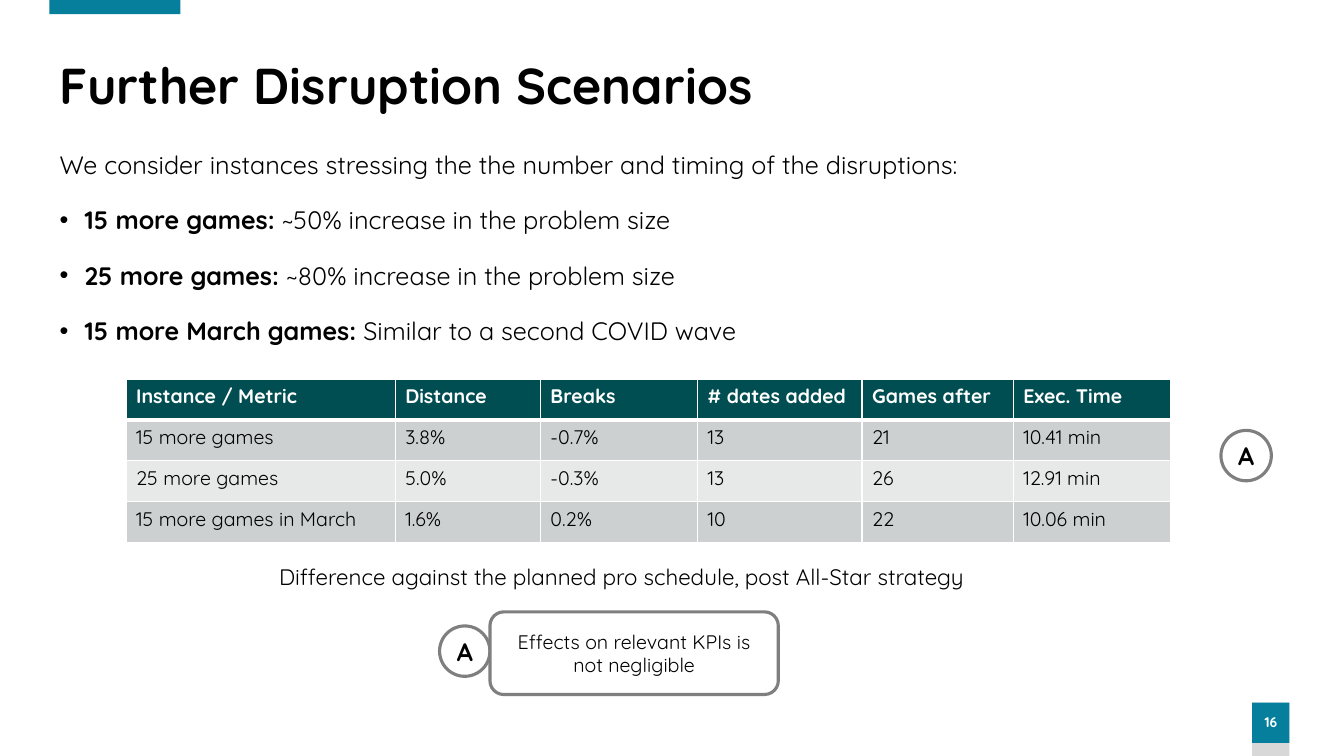
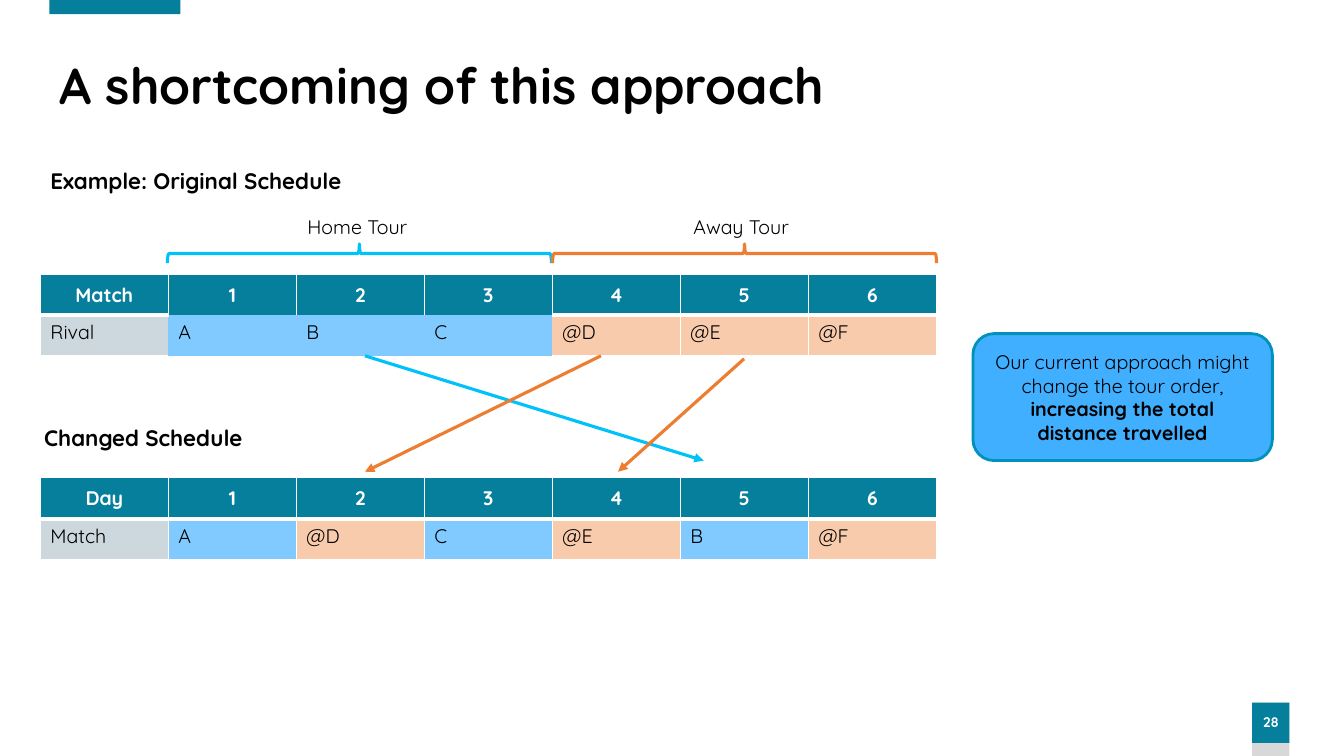
from dataclasses import dataclass
from typing import Callable

from lxml.etree import SubElement
from pptx import Presentation
from pptx.dml.color import RGBColor
from pptx.enum.dml import MSO_LINE
from pptx.enum.shapes import MSO_CONNECTOR, MSO_SHAPE
from pptx.enum.text import MSO_ANCHOR, MSO_AUTO_SIZE, PP_ALIGN
from pptx.oxml import parse_xml
from pptx.oxml.ns import nsdecls, qn
from pptx.util import Inches, Pt

FONT = "Quicksand"
BLACK = RGBColor(0x00, 0x00, 0x00)
WHITE = RGBColor(0xFF, 0xFF, 0xFF)
TEAL = RGBColor(0x06, 0x7F, 0x9C)
DARK_TEAL = RGBColor(0x01, 0x4E, 0x52)
LIGHT_GRAY = RGBColor(0xD8, 0xD8, 0xD8)
GRAY = RGBColor(0x7F, 0x7F, 0x7F)
ROW_ODD = RGBColor(0xCC, 0xD0, 0xD1)
ROW_EVEN = RGBColor(0xE7, 0xE9, 0xE9)
LABEL_FILL = RGBColor(0xCC, 0xD8, 0xDE)
HOME_FILL = RGBColor(0x80, 0xCA, 0xFF)
AWAY_FILL = RGBColor(0xF8, 0xCB, 0xAD)
HOME_LINE = RGBColor(0x00, 0xC2, 0xF8)
AWAY_LINE = RGBColor(0xED, 0x7D, 0x31)
NOTE_FILL = RGBColor(0x40, 0xAF, 0xFF)
NOTE_LINE = RGBColor(0x01, 0x92, 0xBB)

TITLE_ONLY, TITLE_AND_CONTENT = 5, 1
ROW_HEIGHT = 0.406


@dataclass
class Box:
    left: float
    top: float
    width: float
    height: float

    def lengths(self):
        return [Inches(v) for v in (self.left, self.top, self.width, self.height)]


@dataclass
class Grid:
    left: float
    top: float
    widths: list[float]
    rows: list[list[str]]
    header_fill: RGBColor
    body_fill: Callable[[int, int, str], RGBColor]
    centred_header: bool = False
    bare: frozenset = frozenset()  # (row, column) of cells without borders


@dataclass
class Arrow:
    start: tuple[float, float]
    end: tuple[float, float]
    color: RGBColor


@dataclass
class Tour:
    name: str
    label_left: float
    brace_left: float
    color: RGBColor


def write(p, text: str, *, size: float = 14, bold: bool = False,
          color: RGBColor = BLACK, align=None) -> None:
    """Append one formatted run to a paragraph."""
    if align is not None:
        p.alignment = align
    r = p.add_run()
    r.text = text
    r.font.name, r.font.size, r.font.bold = FONT, Pt(size), bold
    r.font.color.rgb = color


def place(sp, box: Box) -> None:
    sp.left, sp.top, sp.width, sp.height = box.lengths()


def add_shape(s, kind, box: Box, fill=None, line=None, line_width: float = 2.25):
    sp = s.shapes.add_shape(kind, *box.lengths())
    sp.shadow.inherit = False
    if fill is None:
        sp.fill.background()
    else:
        sp.fill.solid()
        sp.fill.fore_color.rgb = fill
    if line is None:
        sp.line.fill.background()
    else:
        sp.line.color.rgb = line
        sp.line.width = Pt(line_width)
    sp.text_frame.vertical_anchor = MSO_ANCHOR.MIDDLE
    return sp


def add_label(s, box: Box, text: str, size: float, bold: bool = False) -> None:
    tf = s.shapes.add_textbox(*box.lengths()).text_frame
    tf.word_wrap = False
    write(tf.paragraphs[0], text, size=size, bold=bold)


def add_badge(s, left: float, top: float, letter: str) -> None:
    sp = add_shape(s, MSO_SHAPE.OVAL, Box(left, top, 0.5, 0.5), WHITE, GRAY)
    write(sp.text_frame.paragraphs[0], letter, size=18, bold=True, align=PP_ALIGN.CENTER)


def add_arrow(s, arrow: Arrow) -> None:
    ends = [Inches(v) for v in (*arrow.start, *arrow.end)]
    cn = s.shapes.add_connector(MSO_CONNECTOR.STRAIGHT, *ends)
    cn.line.color.rgb = arrow.color
    cn.line.width = Pt(2.25)
    cn.line.dash_style = MSO_LINE.SOLID
    SubElement(cn.line._get_or_add_ln(), qn("a:tailEnd"), type="triangle")
    SubElement(cn._element.spPr, qn("a:effectLst"))


def set_borders(cell, widths: dict[str, float]) -> None:
    """Give each side a white border; a width of 0 hides it."""
    tc_pr = cell._tc.get_or_add_tcPr()
    for i, (side, width) in enumerate(widths.items()):
        paint = f'<a:solidFill><a:srgbClr val="{WHITE}"/></a:solidFill>' if width else "<a:noFill/>"
        tc_pr.insert(i, parse_xml(
            f'<a:ln{side} {nsdecls("a")} w="{Pt(width)}">{paint}</a:ln{side}>'))


def border_widths(row: int, col: int, bare: frozenset) -> dict[str, float]:
    sides = {"L": (row, col - 1), "R": (row, col + 1), "T": (row - 1, col), "B": (row + 1, col)}
    widths = {}
    for side, neighbour in sides.items():
        if {(row, col), neighbour} & bare:
            widths[side] = 0
        else:
            widths[side] = 3 if {row, neighbour[0]} == {0, 1} else 1
    return widths


def add_grid(s, grid: Grid) -> None:
    box = Box(grid.left, grid.top, sum(grid.widths), ROW_HEIGHT * len(grid.rows))
    table = s.shapes.add_table(len(grid.rows), len(grid.widths), *box.lengths()).table
    for column, width in zip(table.columns, grid.widths):
        column.width = Inches(width)
    for i, texts in enumerate(grid.rows):
        table.rows[i].height = Inches(ROW_HEIGHT)
        header = i == 0
        centred = header and grid.centred_header
        for j, text in enumerate(texts):
            cell = table.cell(i, j)
            cell.fill.solid()
            cell.fill.fore_color.rgb = grid.header_fill if header else grid.body_fill(i, j, text)
            set_borders(cell, border_widths(i, j, grid.bare))
            cell.vertical_anchor = MSO_ANCHOR.MIDDLE if centred else MSO_ANCHOR.TOP
            write(cell.text_frame.paragraphs[0], text, bold=header,
                  color=WHITE if header else BLACK,
                  align=PP_ALIGN.CENTER if centred else PP_ALIGN.LEFT)


def add_slide(prs, layout: int, title: str, number: int):
    """Add a slide with the shared band, page number and title."""
    s = prs.slides.add_slide(prs.slide_layouts[layout])
    add_shape(s, MSO_SHAPE.RECTANGLE, Box(12.42, 6.97, 0.37, 0.53), LIGHT_GRAY)
    tf = add_shape(s, MSO_SHAPE.RECTANGLE, Box(12.42, 6.97, 0.37, 0.4), TEAL).text_frame
    tf.margin_left = tf.margin_right = 0
    tf.paragraphs[0].line_spacing = 0.9
    write(tf.paragraphs[0], str(number), size=10, bold=True, color=WHITE, align=PP_ALIGN.CENTER)
    add_shape(s, MSO_SHAPE.RECTANGLE, Box(0.49, 0, 1.3, 0.14), TEAL)

    place(s.shapes.title, Box(0.49, 0.55, 12.22, 0.65))
    tf = s.shapes.title.text_frame
    tf.auto_size = MSO_AUTO_SIZE.NONE
    tf.vertical_anchor = MSO_ANCHOR.MIDDLE
    tf.paragraphs[0].line_spacing = 0.9
    write(tf.paragraphs[0], title, size=36, bold=True, align=PP_ALIGN.LEFT)
    return s


def set_bullet(p, bulleted: bool) -> None:
    p_pr = p._p.get_or_add_pPr()
    indent = Inches(0.25) if bulleted else 0
    p_pr.set("marL", str(indent))
    p_pr.set("indent", str(-indent))
    if bulleted:
        SubElement(SubElement(p_pr, qn("a:buClr")), qn("a:srgbClr"), val=str(BLACK))
        SubElement(p_pr, qn("a:buFont"), typeface="Arial")
        SubElement(p_pr, qn("a:buChar"), char="•")
    else:
        SubElement(p_pr, qn("a:buNone"))


def build_scenarios(prs) -> None:
    s = add_slide(prs, TITLE_AND_CONTENT, "Further Disruption Scenarios", 16)
    body = s.placeholders[1]
    place(body, Box(0.49, 1.43, 11.88, 5.39))
    tf = body.text_frame
    tf.auto_size = MSO_AUTO_SIZE.NONE
    p = tf.paragraphs[0]
    p.space_before = Pt(0)
    set_bullet(p, False)
    write(p, "We consider instances stressing the the number and timing of the disruptions:", size=18)
    for name, effect in [
        ("15 more games: ", "~50% increase in the problem size"),
        ("25 more games: ", "~80% increase in the problem size"),
        ("15 more March games: ", "Similar to a second COVID wave"),
    ]:
        p = tf.add_paragraph()
        p.space_before = Pt(18)
        set_bullet(p, True)
        write(p, name, size=18, bold=True)
        write(p, effect, size=18)

    add_badge(s, 4.36, 6.21, "A")
    sp = add_shape(s, MSO_SHAPE.ROUNDED_RECTANGLE, Box(4.86, 6.07, 2.86, 0.82), WHITE, GRAY)
    write(sp.text_frame.paragraphs[0], "Effects on relevant KPIs is not negligible",
          align=PP_ALIGN.CENTER)
    add_badge(s, 12.11, 4.27, "A")
    add_grid(s, Grid(
        1.25, 3.76, [2.67, 1.44, 1.56, 1.63, 1.5, 1.56],
        [["Instance / Metric", "Distance", "Breaks", "# dates added", "Games after", "Exec. Time"],
         ["15 more games", "3.8%", "-0.7%", "13", "21", "10.41 min"],
         ["25 more games", "5.0%", "-0.3%", "13", "26", "12.91 min"],
         ["15 more games in March", "1.6%", "0.2%", "10", "22", "10.06 min"]],
        DARK_TEAL, lambda row, col, text: ROW_ODD if row % 2 else ROW_EVEN))
    add_label(s, Box(2.67, 5.54, 7.52, 0.37),
              "Difference against the planned pro schedule, post All-Star strategy", 16)


def match_fill(row: int, col: int, text: str) -> RGBColor:
    if col == 0:
        return LABEL_FILL
    return AWAY_FILL if text.startswith("@") else HOME_FILL


def add_schedule(s, top: float, head: str, label: str, matches: list[str],
                 bare: frozenset = frozenset()) -> None:
    days = [str(day) for day in range(1, len(matches) + 1)]
    add_grid(s, Grid(0.4, top, [1.27] * (len(matches) + 1),
                     [[head, *days], [label, *matches]],
                     TEAL, match_fill, centred_header=True, bare=bare))


def add_tour(s, tour: Tour) -> None:
    brace = add_shape(s, MSO_SHAPE.RIGHT_BRACE, Box(tour.brace_left, 0.61, 0.19, 3.81),
                      line=tour.color)
    brace.rotation = 270
    add_label(s, Box(tour.label_left, 2.08, 1.2, 0.34), tour.name, 14)


def build_shortcoming(prs) -> None:
    s = add_slide(prs, TITLE_ONLY, "A shortcoming of this approach", 28)
    add_schedule(s, 2.72, "Match", "Rival", ["A", "B", "C", "@D", "@E", "@F"],
                 bare=frozenset((1, col) for col in (1, 2, 3)))
    add_schedule(s, 4.74, "Day", "Match", ["A", "@D", "C", "@E", "B", "@F"])
    add_label(s, Box(0.4, 1.61, 3.22, 0.37), "Example: Original Schedule", 16, bold=True)
    add_label(s, Box(0.34, 4.16, 2.32, 0.37), "Changed Schedule", 16, bold=True)
    for arrow in (
        Arrow((3.62, 3.53), (6.98, 4.57), HOME_LINE),
        Arrow((5.96, 3.53), (3.62, 4.68), AWAY_LINE),
        Arrow((7.38, 3.56), (6.13, 4.68), AWAY_LINE),
    ):
        add_arrow(s, arrow)
    sp = add_shape(s, MSO_SHAPE.ROUNDED_RECTANGLE, Box(9.65, 3.31, 2.97, 1.26),
                   NOTE_FILL, NOTE_LINE, 2)
    p = sp.text_frame.paragraphs[0]
    write(p, "Our current approach might change the tour order, ", align=PP_ALIGN.CENTER)
    write(p, "increasing the total distance travelled", bold=True)
    for tour in (Tour("Home Tour", 2.95, 3.47, HOME_LINE),
                 Tour("Away Tour", 6.78, 7.29, AWAY_LINE)):
        add_tour(s, tour)


def main() -> None:
    prs = Presentation()
    prs.slide_width, prs.slide_height = Inches(13.33), Inches(7.5)
    build_scenarios(prs)
    build_shortcoming(prs)
    prs.save("out.pptx")


if __name__ == "__main__":
    main()
